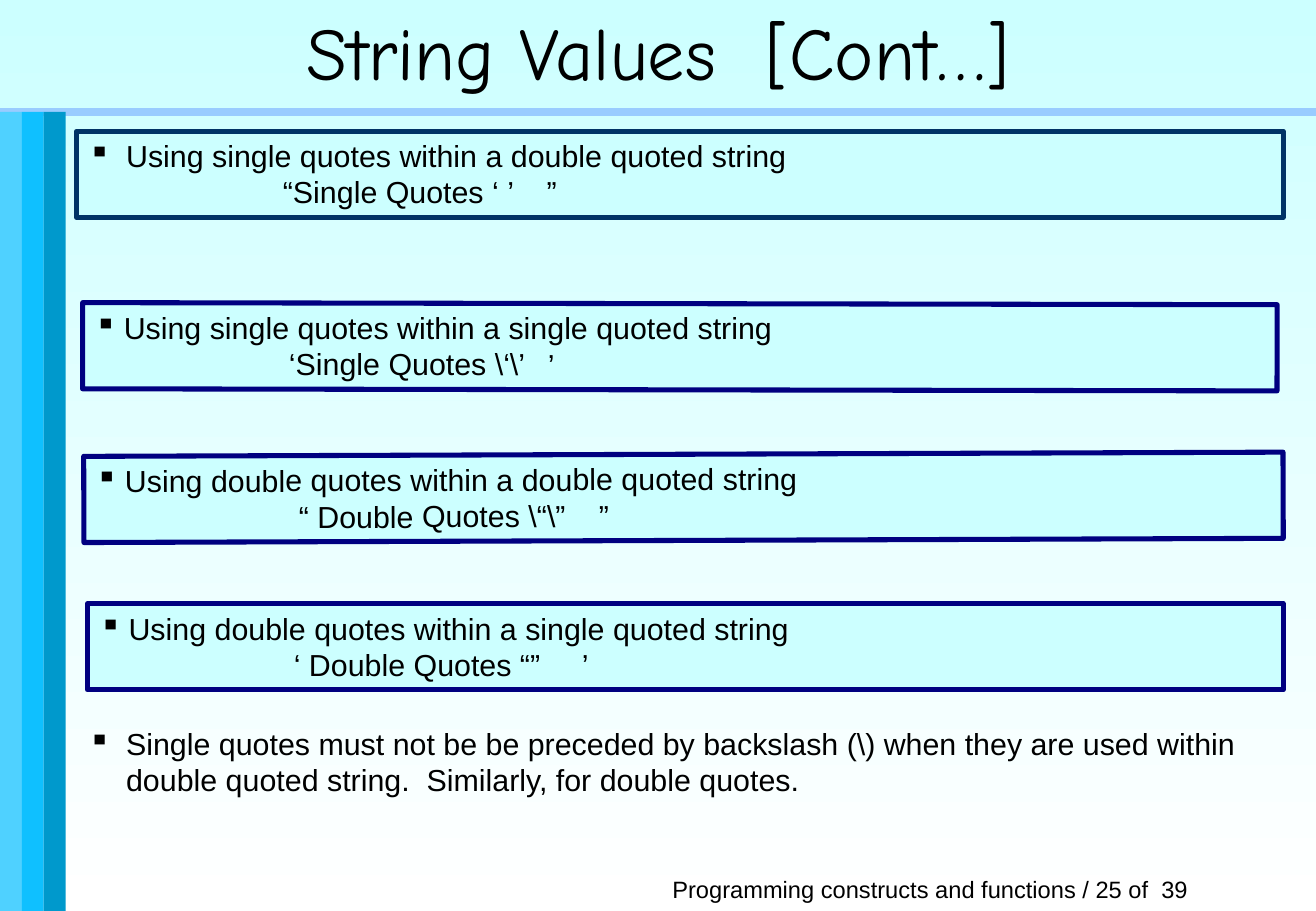
from dataclasses import dataclass

from lxml.etree import SubElement
from pptx import Presentation
from pptx.dml.color import RGBColor
from pptx.enum.shapes import MSO_CONNECTOR as Connector, MSO_SHAPE as Shape
from pptx.enum.text import MSO_ANCHOR as Anchor, MSO_AUTO_SIZE as AutoSize, PP_ALIGN as Align
from pptx.oxml.ns import qn
from pptx.util import Inches, Pt


@dataclass(frozen=True)
class Theme:
    text: str = "000000"
    sky: str = "CCFFFF"
    white: str = "FFFFFF"
    rule: str = "99CCFF"
    bars: tuple = ("4FD1FF", "0FC0FF", "0099CC")
    teal: str = "003366"
    navy: str = "000080"
    title_font: str = "Comic Neue"
    body_font: str = "Arial"
    title_size: int = 44
    body_size: int = 18
    footer_size: int = 14
    rule_width: int = 5
    border_width: int = 3


THEME = Theme()
WIDTH, HEIGHT = 10.83, 7.5
RULE_TOP, BAR_WIDTH = 0.92, 0.18

QUOTE_RULES = [
    ((0.63, 1.08, 9.93, 0.71), 0, THEME.teal, 0.31, (1.6, 3.77),
     "Using single quotes within a double quoted string", "“Single Quotes ‘ ’", "”"),
    ((0.68, 2.5, 9.83, 0.71), 0.1, THEME.navy, 0.24, (1.6, 3.73),
     "Using single quotes within a single quoted string", "‘Single Quotes \\‘\\’", "’"),
    ((0.69, 3.74, 9.87, 0.71), 359.8, THEME.navy, 0.24, (1.67, 4.14),
     "Using double quotes within a double quoted string", "“ Double Quotes \\“\\”", "”"),
    ((0.72, 4.97, 9.84, 0.71), 0, THEME.navy, 0.24, (1.6, 3.97),
     "Using double quotes within a single quoted string", "‘ Double Quotes “”", "’"),
]


def inches(*lengths):
    return [Inches(length) for length in lengths]


def rgb(colour):
    return RGBColor.from_string(colour)


def add_run(paragraph, text, size=THEME.body_size, font=THEME.body_font):
    run = paragraph.add_run()
    run.text = text
    run.font.size = Pt(size)
    run.font.name = font
    run.font.color.rgb = rgb(THEME.text)


def add_bullet(paragraph, indent):
    properties = paragraph._p.get_or_add_pPr()
    properties.set("marL", str(Inches(indent)))
    properties.set("indent", str(-Inches(indent)))
    SubElement(properties, qn("a:buChar"), char="▪")


def add_tabs(paragraph, stops):
    tabs = SubElement(paragraph._p.get_or_add_pPr(), qn("a:tabLst"))
    for stop in stops:
        SubElement(tabs, qn("a:tab"), pos=str(Inches(stop)), algn="l")


def set_background(slide):
    fill = slide.background.fill
    fill.gradient()
    fill.gradient_angle = 270
    for stop, colour, position in zip(fill.gradient_stops, (THEME.sky, THEME.white), (0, 1)):
        stop.color.rgb = rgb(colour)
        stop.position = position


def set_title(slide, text):
    title = slide.shapes.title
    title.left, title.top, title.width, title.height = inches(0, 0, WIDTH, 0.83)
    frame = title.text_frame
    frame.auto_size = AutoSize.NONE
    frame.vertical_anchor = Anchor.MIDDLE
    heading = frame.paragraphs[0]
    heading.alignment = Align.CENTER
    add_run(heading, text, THEME.title_size, THEME.title_font)


def add_rule(slide):
    rule = slide.shapes.add_connector(Connector.STRAIGHT, *inches(0, RULE_TOP, WIDTH, RULE_TOP))
    rule.line.color.rgb = rgb(THEME.rule)
    rule.line.width = Pt(THEME.rule_width)
    SubElement(rule._element.spPr, qn("a:effectLst"))


def add_rectangle(slide, place, fill, border=None):
    rectangle = slide.shapes.add_shape(Shape.RECTANGLE, *inches(*place))
    rectangle.shadow.inherit = False
    rectangle.fill.solid()
    rectangle.fill.fore_color.rgb = rgb(fill)
    if border:
        rectangle.line.color.rgb = rgb(border)
        rectangle.line.width = Pt(THEME.border_width)
    else:
        rectangle.line.fill.background()
    return rectangle


def add_quote_rule(slide, place, rotation, border, indent, stops, rule, example, closing):
    box = add_rectangle(slide, place, THEME.sky, border)
    box.rotation = rotation
    frame = box.text_frame
    frame.word_wrap = True
    frame.vertical_anchor = Anchor.TOP
    rule_line, example_line = frame.paragraphs[0], frame.add_paragraph()
    rule_line.alignment = example_line.alignment = Align.JUSTIFY
    add_bullet(rule_line, indent)
    add_run(rule_line, rule)
    add_tabs(example_line, stops)
    add_run(example_line, f"\t{example}\t{closing}")


def add_text(slide, place, text, size, align=Align.LEFT, indent=None):
    frame = slide.shapes.add_textbox(*inches(*place)).text_frame
    frame.word_wrap = True
    paragraph = frame.paragraphs[0]
    paragraph.alignment = align
    if indent:
        add_bullet(paragraph, indent)
    add_run(paragraph, text, size)


def main():
    deck = Presentation()
    deck.slide_width, deck.slide_height = inches(WIDTH, HEIGHT)
    slide = deck.slides.add_slide(deck.slide_layouts[5])
    set_background(slide)
    set_title(slide, "String Values  [Cont…]")
    add_rule(slide)
    for column, colour in enumerate(THEME.bars):
        place = (column * BAR_WIDTH, RULE_TOP, BAR_WIDTH, HEIGHT - RULE_TOP)
        add_rectangle(slide, place, colour)
    for quote_rule in QUOTE_RULES:
        add_quote_rule(slide, *quote_rule)
    add_text(slide, (0.63, 5.92, 9.84, 0.71),
             "Single quotes must not be be preceded by backslash (\\) when they are used "
             "within double quoted string.  Similarly, for double quotes.",
             THEME.body_size, indent=0.31)
    add_text(slide, (4.88, 7.15, 5, 0.35), "Programming constructs and functions / 25 of  39",
             THEME.footer_size, Align.RIGHT)
    deck.save("out.pptx")


if __name__ == "__main__":
    main()
